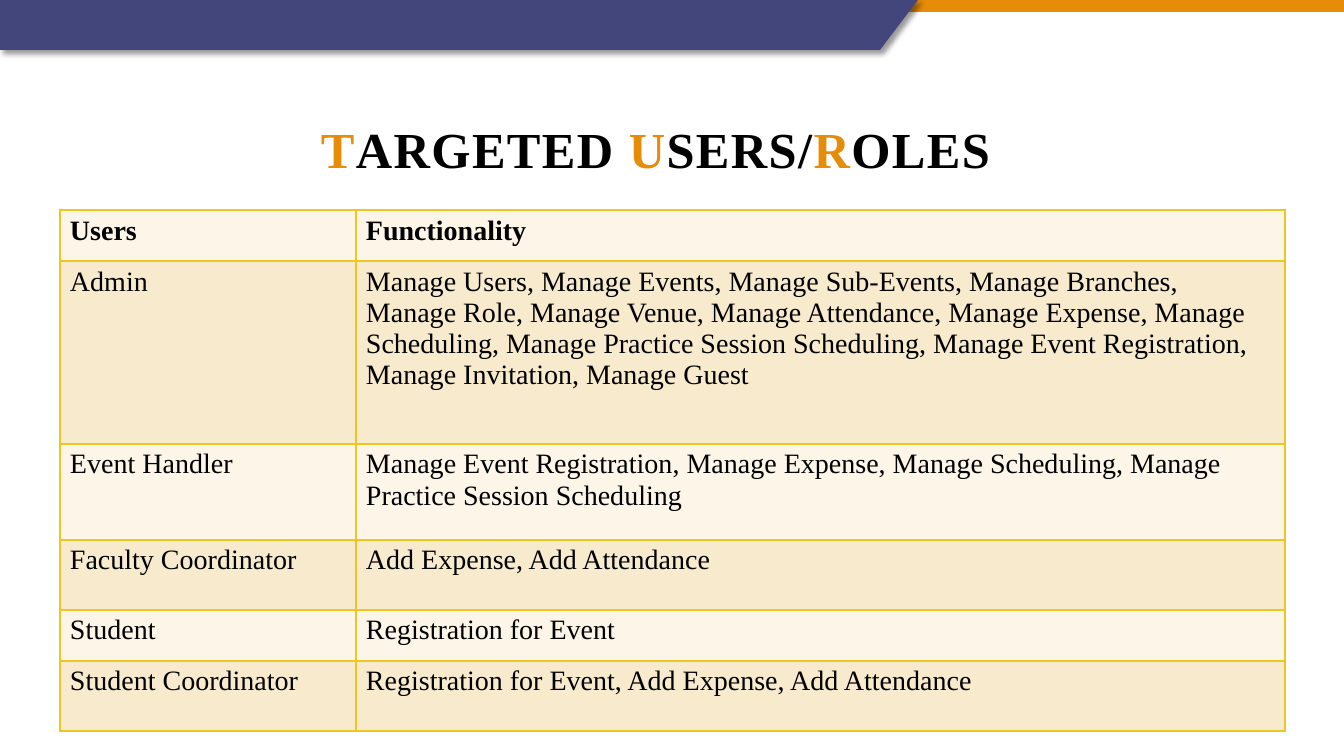
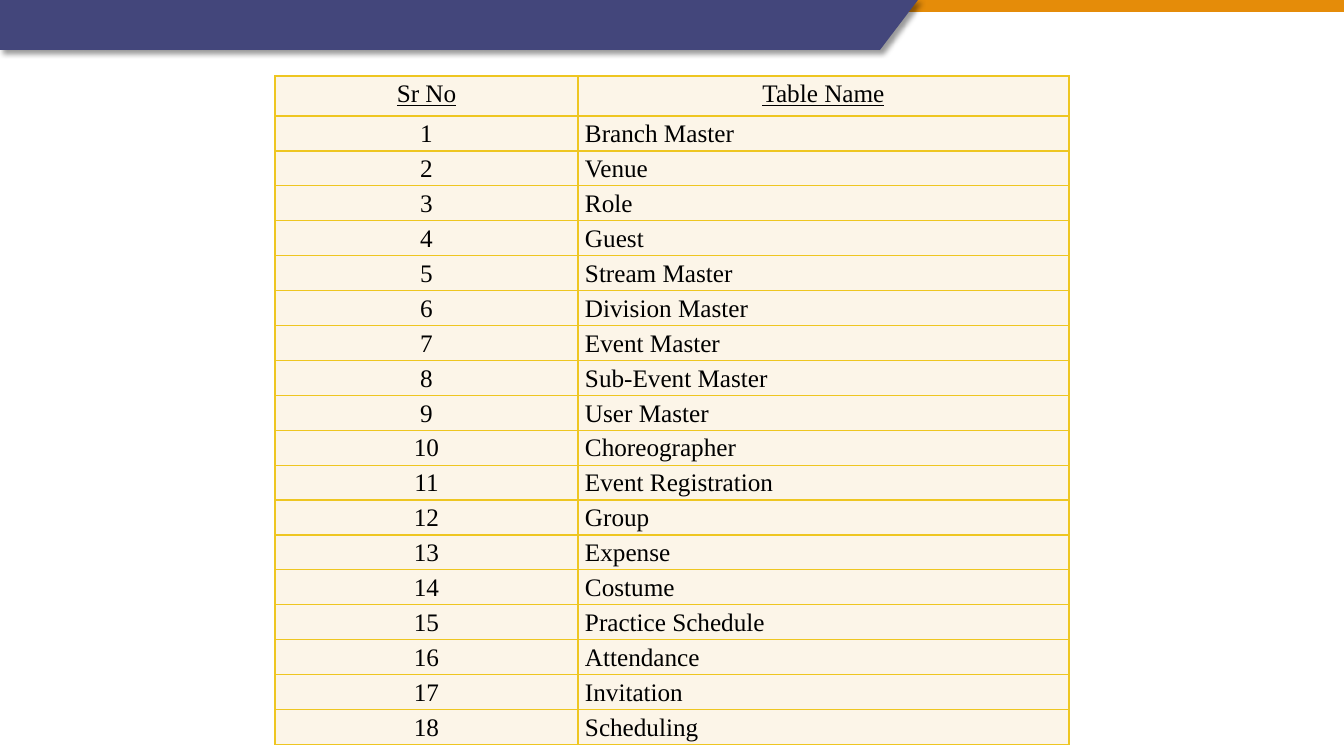
from dataclasses import dataclass

from lxml import etree
from pptx import Presentation
from pptx.dml.color import RGBColor
from pptx.enum.shapes import MSO_SHAPE
from pptx.enum.text import MSO_ANCHOR, PP_ALIGN
from pptx.oxml.ns import qn
from pptx.slide import Slide
from pptx.table import _Cell
from pptx.util import Emu, Pt

RECTANGLE = MSO_SHAPE.RECTANGLE
MIDDLE = MSO_ANCHOR.MIDDLE
LEFT = PP_ALIGN.LEFT
CENTER = PP_ALIGN.CENTER

SLIDE_WIDTH = 1344
SLIDE_HEIGHT = 756
EMU_PER_PX = 12192000 / SLIDE_WIDTH


@dataclass(frozen=True)
class Theme:
    font: str = "Times New Roman"
    ink: str = "000000"
    accent: str = "E58C09"
    banner: str = "43467B"
    border: str = "EEC621"
    light_row: str = "FCF5E8"
    dark_row: str = "F8EACD"
    title_size: int = 36
    roles_size: int = 20
    list_size: int = 18


@dataclass(frozen=True)
class Grid:
    left: int
    top: int
    columns: tuple[int, ...]
    heights: tuple[int, ...]
    rows: tuple[tuple[str, str], ...]
    fills: tuple[str, ...]
    size: int
    header_aligns: tuple[PP_ALIGN, PP_ALIGN]
    body_aligns: tuple[PP_ALIGN, PP_ALIGN]
    margin_x: int
    margin_y: int
    line_spacing: float
    header_bold: bool = False
    header_underline: bool = False


THEME = Theme()

TITLE = (("T", True), ("ARGETED ", False), ("U", True),
         ("SERS/", False), ("R", True), ("OLES", False))

ROLES = (
    ("Users", "Functionality"),
    ("Admin", "Manage Users, Manage Events, Manage Sub-Events, Manage Branches, "
              "Manage Role, Manage Venue, Manage Attendance, Manage Expense, "
              "Manage Scheduling, Manage Practice Session Scheduling, "
              "Manage Event Registration, Manage Invitation, Manage Guest"),
    ("Event Handler", "Manage Event Registration, Manage Expense, "
                      "Manage Scheduling, Manage Practice Session Scheduling"),
    ("Faculty Coordinator", "Add Expense, Add Attendance"),
    ("Student", "Registration for Event"),
    ("Student Coordinator", "Registration for Event, Add Expense, Add Attendance"),
)

TABLE_NAMES = (
    "Branch Master", "Venue", "Role", "Guest", "Stream Master", "Division Master",
    "Event Master", "Sub-Event Master", "User Master", "Choreographer",
    "Event Registration", "Group", "Expense", "Costume", "Practice Schedule",
    "Attendance", "Invitation", "Scheduling",
)


def px(length: int) -> Emu:
    return Emu(round(length * EMU_PER_PX))


def rgb(code: str) -> RGBColor:
    return RGBColor.from_string(code)


def split_evenly(total: int, count: int) -> tuple[int, ...]:
    edges = [round(total * i / count) for i in range(count + 1)]
    return tuple(end - start for start, end in zip(edges, edges[1:]))


def draw_header(slide: Slide) -> None:
    strip = slide.shapes.add_shape(RECTANGLE, 0, 0, px(SLIDE_WIDTH), px(12))
    outline = slide.shapes.build_freeform(0, 0)
    outline.add_line_segments(
        [(px(x), px(y)) for x, y in ((918, 0), (880, 50), (0, 50))], close=True)
    banner = outline.convert_to_shape()
    for band, color in ((strip, THEME.accent), (banner, THEME.banner)):
        band.fill.solid()
        band.fill.fore_color.rgb = rgb(color)
        band.line.fill.background()
        band.shadow.inherit = False
    effects = banner.element.spPr.find(qn("a:effectLst"))
    shadow = etree.SubElement(effects, qn("a:outerShdw"), blurRad=str(Pt(4)),
                              dist=str(Pt(3)), dir="2700000", algn="tl",
                              rotWithShape="0")
    shade = etree.SubElement(shadow, qn("a:srgbClr"), val=THEME.ink)
    etree.SubElement(shade, qn("a:alpha"), val="40000")


def draw_title(slide: Slide) -> None:
    title = slide.shapes.add_textbox(px(60), px(109), px(1191), px(78))
    frame = title.text_frame
    frame.word_wrap = True
    frame.vertical_anchor = MIDDLE
    heading = frame.paragraphs[0]
    heading.alignment = CENTER
    heading.font.name = THEME.font
    heading.font.size = Pt(THEME.title_size)
    heading.font.bold = True
    for defaults in title.element.iter(qn("a:defRPr")):
        defaults.set("spc", "100")
    for part, accented in TITLE:
        run = heading.add_run()
        run.text = part
        run.font.color.rgb = rgb(THEME.accent if accented else THEME.ink)


def add_borders(cell: _Cell) -> None:
    properties = cell._tc.get_or_add_tcPr()
    for position, side in enumerate(("lnL", "lnR", "lnT", "lnB")):
        border = etree.Element(qn(f"a:{side}"), w=str(Pt(1)))
        fill = etree.SubElement(border, qn("a:solidFill"))
        etree.SubElement(fill, qn("a:srgbClr"), val=THEME.border)
        properties.insert(position, border)


def draw_cell(cell: _Cell, content: str, grid: Grid, fill: str,
              align: PP_ALIGN, is_header: bool) -> None:
    cell.fill.solid()
    cell.fill.fore_color.rgb = rgb(fill)
    cell.margin_left = cell.margin_right = px(grid.margin_x)
    cell.margin_top = cell.margin_bottom = px(grid.margin_y)
    add_borders(cell)
    cell.text = content
    paragraph = cell.text_frame.paragraphs[0]
    paragraph.alignment = align
    paragraph.line_spacing = grid.line_spacing
    font = paragraph.font
    font.name = THEME.font
    font.size = Pt(grid.size)
    font.bold = is_header and grid.header_bold
    font.underline = is_header and grid.header_underline
    font.color.rgb = rgb(THEME.ink)


def draw_grid(slide: Slide, grid: Grid) -> None:
    table = slide.shapes.add_table(
        len(grid.rows), len(grid.columns), px(grid.left), px(grid.top),
        px(sum(grid.columns)), px(sum(grid.heights))).table
    table.first_row = False
    table.horz_banding = False
    for column, width in zip(table.columns, grid.columns):
        column.width = px(width)
    for r, (entries, height) in enumerate(zip(grid.rows, grid.heights)):
        table.rows[r].height = px(height)
        fill = grid.fills[r % len(grid.fills)]
        aligns = grid.body_aligns if r else grid.header_aligns
        for c, (content, align) in enumerate(zip(entries, aligns)):
            draw_cell(table.cell(r, c), content, grid, fill, align, r == 0)


ROLES_GRID = Grid(
    left=60, top=210, columns=(296, 929), heights=(51, 183, 96, 70, 51, 70),
    rows=ROLES, fills=(THEME.light_row, THEME.dark_row), size=THEME.roles_size,
    header_aligns=(LEFT, LEFT), body_aligns=(LEFT, LEFT),
    margin_x=10, margin_y=5, line_spacing=1.0, header_bold=True)

TABLES_GRID = Grid(
    left=275, top=76, columns=(303, 491),
    heights=(40, *split_evenly(625, len(TABLE_NAMES))),
    rows=(("Sr No", "Table Name"),
          *((str(n), name) for n, name in enumerate(TABLE_NAMES, 1))),
    fills=(THEME.light_row,), size=THEME.list_size,
    header_aligns=(CENTER, CENTER), body_aligns=(CENTER, LEFT),
    margin_x=7, margin_y=0, line_spacing=1.15, header_underline=True)


def main() -> None:
    deck = Presentation()
    deck.slide_width = px(SLIDE_WIDTH)
    deck.slide_height = px(SLIDE_HEIGHT)
    blank = deck.slide_layouts[6]

    roles_slide = deck.slides.add_slide(blank)
    draw_header(roles_slide)
    draw_title(roles_slide)
    draw_grid(roles_slide, ROLES_GRID)

    tables_slide = deck.slides.add_slide(blank)
    draw_header(tables_slide)
    draw_grid(tables_slide, TABLES_GRID)

    deck.save("out.pptx")


if __name__ == "__main__":
    main()
